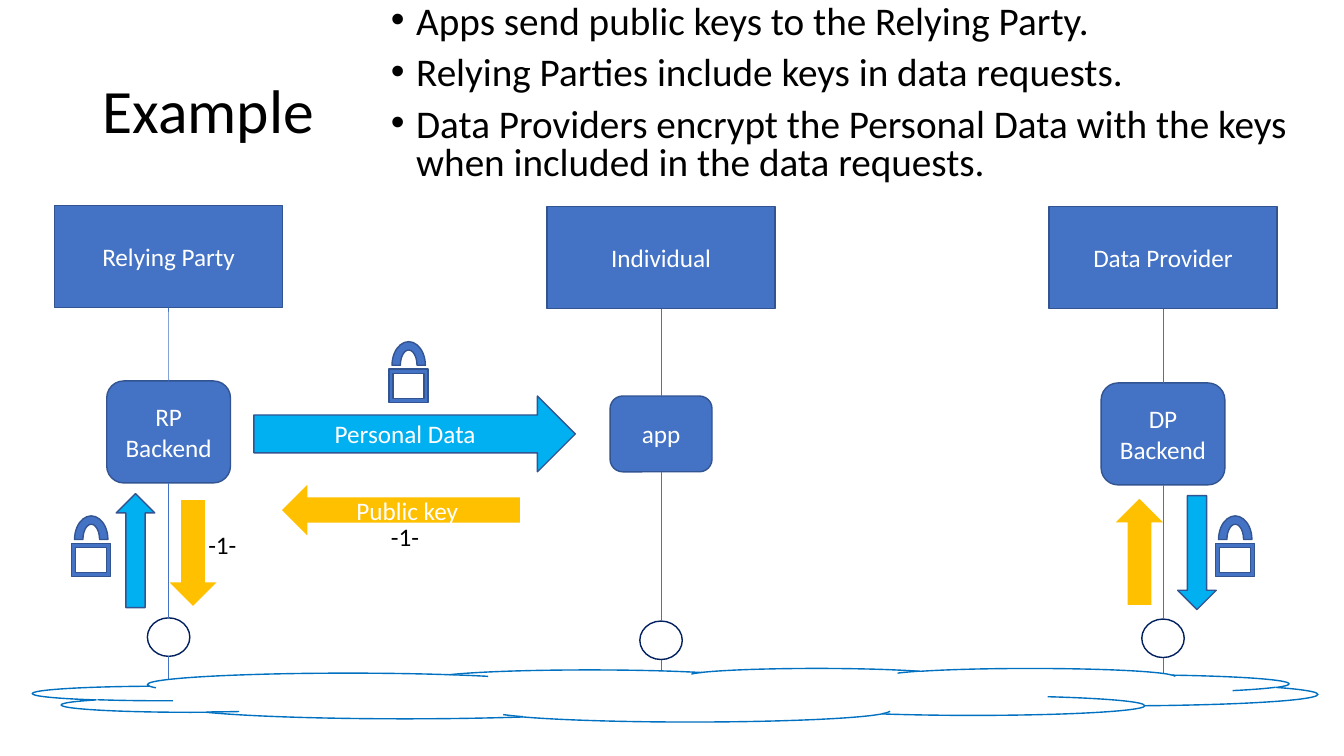
import pptx
import pptx.dml.color
import pptx.enum.shapes
import pptx.enum.text
import pptx.oxml
import pptx.util
from lxml import etree

Cm = pptx.util.Cm
Pt = pptx.util.Pt
SHAPE = pptx.enum.shapes.MSO_SHAPE
ALIGN = pptx.enum.text.PP_ALIGN
ANCHOR = pptx.enum.text.MSO_ANCHOR

BLUE, EDGE, SKY, GOLD = "4472C4", "325491", "00B0F0", "FFC000"
WHITE, BLACK, NAVY, CLOUD_EDGE = "FFFFFF", "000000", "002060", "0070C0"
LIFELINE_END = 17.3


def rgb(value):
    return pptx.dml.color.RGBColor.from_string(value)


def format_text(paragraph, size, color):
    paragraph.font.name = "Calibri"
    paragraph.font.size = Pt(size)
    paragraph.font.color.rgb = rgb(color)


def add_figure(slide, preset, box, fill, edge=EDGE, label="", rotation=0):
    figure = slide.shapes.add_shape(preset, *map(Cm, box))
    figure.shadow.inherit = False
    figure.rotation = rotation
    figure.fill.solid()
    figure.fill.fore_color.rgb = rgb(fill)
    if edge:
        figure.line.color.rgb = rgb(edge)
        figure.line.width = Pt(1)
    else:
        figure.line.fill.background()
    if label:
        figure.text_frame.vertical_anchor = ANCHOR.MIDDLE
        paragraph = figure.text_frame.paragraphs[0]
        paragraph.text = label
        paragraph.alignment = ALIGN.CENTER
        format_text(paragraph, 18, WHITE)
    return figure


def add_centered(slide, preset, center, top, size, fill, edge=EDGE, label=""):
    width, height = size
    box = (center - width / 2, top, width, height)
    return add_figure(slide, preset, box, fill, edge, label)


def add_lifeline(slide, upper, lower=None):
    x = upper.left + upper.width // 2
    line = slide.shapes.add_connector(
        pptx.enum.shapes.MSO_CONNECTOR.STRAIGHT,
        x, upper.top + upper.height, x, Cm(LIFELINE_END))
    if lower is not None:
        line.begin_connect(upper, 2)
        line.end_connect(lower, 0)
    line.line.color.rgb = rgb(BLUE)
    line.line.width = Pt(0.5)
    etree.SubElement(line.element.spPr, pptx.oxml.ns.qn("a:effectLst"))


def add_column(slide, center, party, party_top, node, node_top, node_size, ring_top):
    party_box = add_centered(slide, SHAPE.RECTANGLE, center, party_top,
                             (5.74, 2.57), BLUE, label=party)
    node_box = add_centered(slide, SHAPE.ROUNDED_RECTANGLE, center, node_top,
                            node_size, BLUE, label=node)
    ring = add_centered(slide, SHAPE.OVAL, center, ring_top,
                        (1.07, 0.97), WHITE, NAVY)
    add_lifeline(slide, party_box, node_box)
    add_lifeline(slide, node_box, ring)
    add_lifeline(slide, ring)


def add_padlock(slide, left, top):
    add_figure(slide, SHAPE.FRAME, (left, top + 0.69, 0.99, 0.84), BLUE)
    add_figure(slide, SHAPE.BLOCK_ARC, (left + 0.08, top, 0.84, 1.19), BLUE)


def add_text(slide, box, lines, size):
    frame = slide.shapes.add_textbox(*map(Cm, box)).text_frame
    frame.word_wrap = True
    frame.text = "\n".join(lines)
    for paragraph in frame.paragraphs:
        format_text(paragraph, size, BLACK)
    return frame


def add_bullets(slide, box, lines):
    for paragraph in add_text(slide, box, lines, 28).paragraphs:
        paragraph.line_spacing = 0.8
        paragraph.space_before = Pt(10)
        properties = paragraph._p.get_or_add_pPr()
        properties.set("marL", str(Cm(0.64)))
        properties.set("indent", str(-Cm(0.64)))
        bullet_font = pptx.oxml.parse_xml(
            '<a:buFont %s typeface="Arial"/>' % pptx.oxml.ns.nsdecls("a"))
        bullet = pptx.oxml.parse_xml(
            '<a:buChar %s char="•"/>' % pptx.oxml.ns.nsdecls("a"))
        properties.insert_element_before(bullet_font, "a:defRPr")
        properties.insert_element_before(bullet, "a:defRPr")


def set_title(slide, box, words):
    title = slide.shapes.title
    title.left, title.top, title.width, title.height = map(Cm, box)
    title.text_frame.text = words
    title.text_frame.vertical_anchor = ANCHOR.MIDDLE
    paragraph = title.text_frame.paragraphs[0]
    paragraph.alignment = ALIGN.LEFT
    paragraph.line_spacing = 0.9
    format_text(paragraph, 44, BLACK)


def main():
    deck = pptx.Presentation()
    deck.slide_width, deck.slide_height = Cm(33.87), Cm(19.05)
    slide = deck.slides.add_slide(deck.slide_layouts[5])

    set_title(slide, (2.33, 1.01, 29.21, 3.68), "Example")
    add_bullets(slide, (9.6, 0, 23.85, 4.98), [
        "Apps send public keys to the Relying Party.",
        "Relying Parties include keys in data requests.",
        "Data Providers encrypt the Personal Data with the keys "
        "when included in the data requests.",
    ])

    backend, app = (3.12, 2.57), (2.57, 1.91)
    for column in [
        (4.25, "Relying Party", 5.18, "RP Backend", 9.6, backend, 15.57),
        (16.66, "Individual", 5.21, "app", 9.98, app, 15.65),
        (29.31, "Data Provider", 5.21, "DP Backend", 9.65, backend, 15.6),
    ]:
        add_column(slide, *column)
    add_figure(slide, SHAPE.CLOUD, (0.84, 16.84, 32.36, 1.35), WHITE, CLOUD_EDGE)

    add_figure(slide, SHAPE.RIGHT_ARROW, (6.4, 9.98, 8.1, 1.91), SKY,
               label="Personal Data")
    add_figure(slide, SHAPE.LEFT_ARROW, (7.11, 12.22, 5.99, 1.27), GOLD,
               edge=None, label="Public key")
    for left, top, rotation in [(3.53, 13.34, 270), (27.38, 13.31, 90)]:
        add_figure(slide, SHAPE.LEFT_ARROW, (left, top, 2.67, 1.19), GOLD,
                   edge=None, rotation=rotation)
    for left, top, rotation in [(1.98, 13.39, 270), (28.73, 13.44, 90)]:
        add_figure(slide, SHAPE.RIGHT_ARROW, (left, top, 2.87, 0.97), SKY,
                   rotation=rotation)

    for left, top in [(9.8, 8.61), (1.8, 13), (30.63, 13)]:
        add_padlock(slide, left, top)
    for left, top in [(9.6, 13), (5, 13.21)]:
        add_text(slide, (left, top, 1.55, 1.02), ["-1-"], 18)

    deck.save("out.pptx")


if __name__ == "__main__":
    main()
